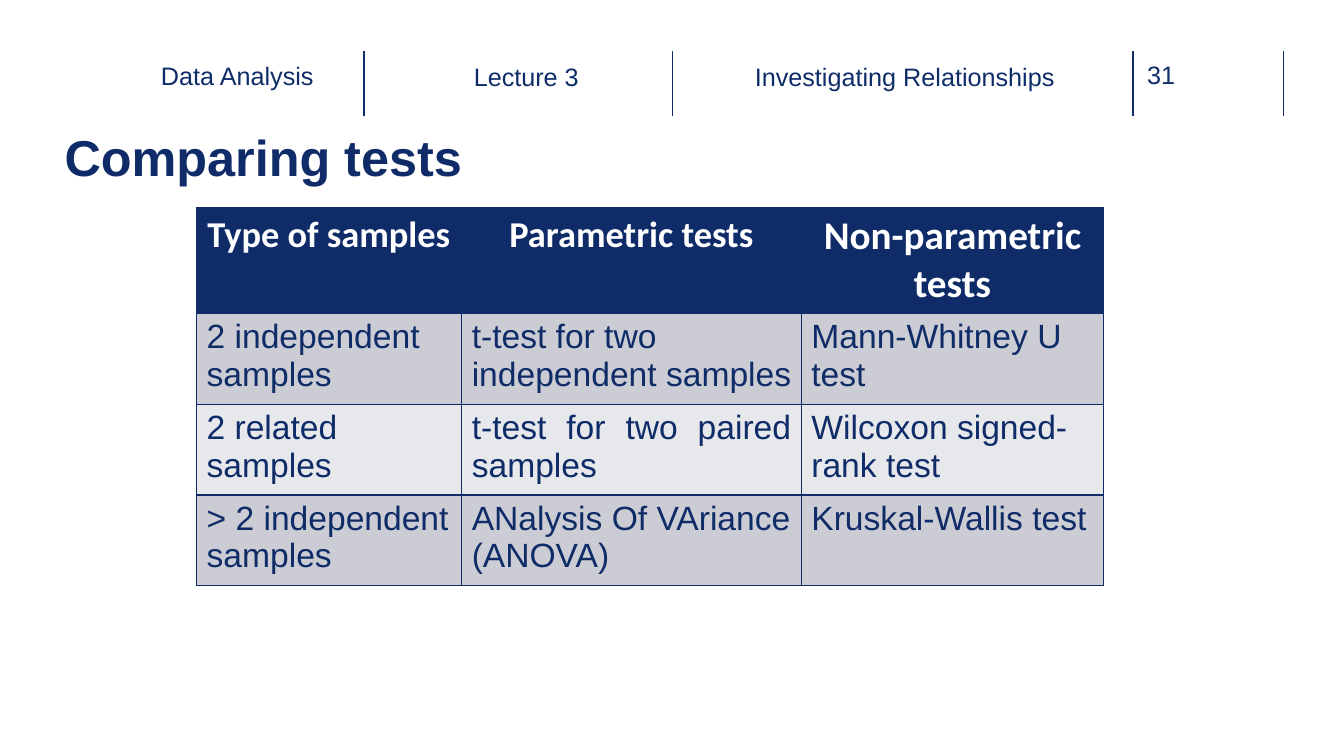
from lxml import etree
from pptx import Presentation
from pptx.dml.color import RGBColor
from pptx.enum.shapes import MSO_CONNECTOR
from pptx.enum.text import MSO_ANCHOR, PP_ALIGN
from pptx.oxml.ns import qn
from pptx.util import Pt

STRAIGHT = MSO_CONNECTOR.STRAIGHT
TOP = MSO_ANCHOR.TOP
LEFT, CENTER, JUSTIFY = PP_ALIGN.LEFT, PP_ALIGN.CENTER, PP_ALIGN.JUSTIFY

NAVY, WHITE = "0F2C68", "FFFFFF"
RULE_NAVY, LABEL_NAVY = "102D69", "0E2D69"
BANDS = ["CCCDD4", "E7E8EB"]

TESTS = [
    ["Type of samples", "Parametric tests", "Non-parametric tests"],
    ["2 independent samples", "t-test for two independent samples", "Mann-Whitney U test"],
    ["2 related samples", "t-test for two paired samples", "Wilcoxon signed-rank test"],
    ["> 2 independent samples", "ANalysis Of VAriance (ANOVA)", "Kruskal-Wallis test"],
]


def color(code):
    return RGBColor.from_string(code)


def write(frame, text, size, shade, align=LEFT, bold=False, name="Arial"):
    frame.text = text
    frame.word_wrap = True
    frame.vertical_anchor = TOP
    para = frame.paragraphs[0]
    para.alignment = align
    for span in para.runs:
        span.font.size = Pt(size)
        span.font.name = name
        span.font.bold = bold
        span.font.color.rgb = color(shade)


def clear_margins(frame):
    frame.margin_left = frame.margin_right = 0
    frame.margin_top = frame.margin_bottom = 0


def add_header(page, left, top, height):
    # Vertical rules
    for offset in (0, 220.3, 549.4, 656.6):
        x = Pt(left + offset)
        rule = page.shapes.add_connector(STRAIGHT, x, Pt(top), x, Pt(top + height))
        rule.line.color.rgb = color(RULE_NAVY)
        rule.line.width = Pt(1)
        etree.SubElement(rule._element.spPr, qn("a:effectLst"))

    # Labels between the rules: text, offset, drop, width, colour, alignment
    labels = [
        ("Data Analysis", -170, 6.5, 159, NAVY, CENTER),
        ("Lecture 3", 12.2, 7.2, 207.4, LABEL_NAVY, CENTER),
        ("Investigating Relationships", 233.2, 7.2, 306, LABEL_NAVY, CENTER),
        ("31", 559.4, 5.8, 52.6, RULE_NAVY, LEFT),
    ]
    for text, offset, drop, width, shade, align in labels:
        box = page.shapes.add_textbox(Pt(left + offset), Pt(top + drop), Pt(width), Pt(32.4))
        clear_margins(box.text_frame)
        write(box.text_frame, text, 18, shade, align)


def add_title(page, left, top, width, height):
    title = page.shapes.title
    title.left, title.top, title.width, title.height = Pt(left), Pt(top), Pt(width), Pt(height)
    clear_margins(title.text_frame)
    write(title.text_frame, "Comparing tests", 36, NAVY, bold=True)


def add_border(cell):
    properties = cell._tc.get_or_add_tcPr()
    for position, side in enumerate(("a:lnL", "a:lnR", "a:lnT", "a:lnB")):
        line = etree.Element(qn(side), w=str(Pt(1)))
        fill = etree.SubElement(line, qn("a:solidFill"))
        etree.SubElement(fill, qn("a:srgbClr"), val=NAVY)
        properties.insert(position, line)


def add_tests_table(page, left, top, widths, heights):
    frame = page.shapes.add_table(len(heights), len(widths), Pt(left), Pt(top),
                                  Pt(sum(widths)), Pt(sum(heights)))
    table = frame.table
    for column, width in zip(table.columns, widths):
        column.width = Pt(width)
    for row, height in zip(table.rows, heights):
        row.height = Pt(height)

    for r, texts in enumerate(TESTS):
        for c, text in enumerate(texts):
            cell = table.cell(r, c)
            cell.fill.solid()
            if r == 0:
                cell.fill.fore_color.rgb = color(NAVY)
                size = 28 if c == 2 else 26
                write(cell.text_frame, text, size, WHITE, CENTER, True, "Calibri")
            else:
                cell.fill.fore_color.rgb = color(BANDS[(r - 1) % 2])
                align = JUSTIFY if (r, c) == (2, 1) else LEFT
                write(cell.text_frame, text, 24, NAVY, align)
            add_border(cell)


def main():
    deck = Presentation()
    deck.slide_width, deck.slide_height = Pt(960), Pt(540)
    page = deck.slides.add_slide(deck.slide_layouts[5])
    add_header(page, 260, 36.7, 46.1)
    add_title(page, 46.1, 90, 870.5, 61.2)
    add_tests_table(page, 140.4, 148.3, [189.4, 242.6, 216], [75.6, 60.7, 60.7, 60.7])
    deck.save("out.pptx")


if __name__ == "__main__":
    main()
